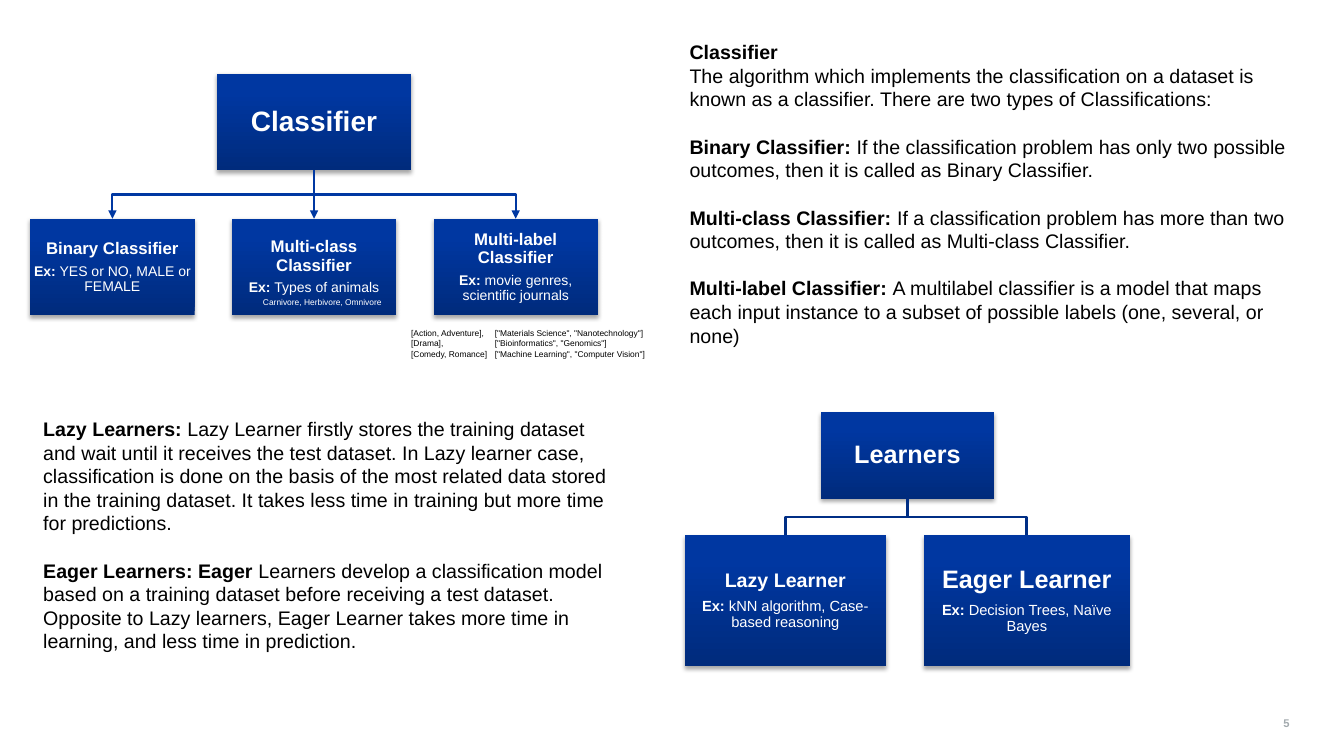
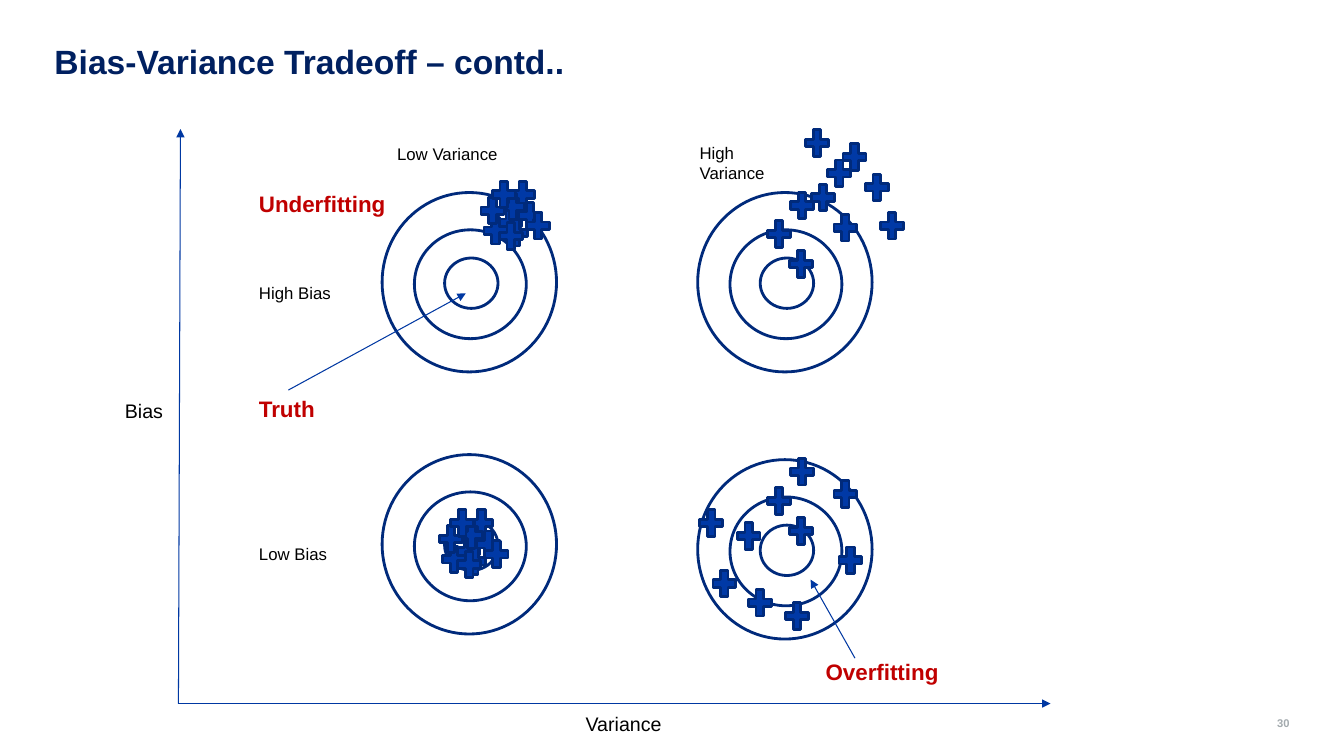
"""Build two slides on classifiers, learners and the bias-variance tradeoff."""
from dataclasses import dataclass

from pptx import Presentation
from pptx.dml.color import RGBColor
from pptx.enum.shapes import MSO_CONNECTOR, MSO_SHAPE
from pptx.enum.text import MSO_ANCHOR, PP_ALIGN
from pptx.oxml import parse_xml
from pptx.oxml.ns import nsdecls, qn
from pptx.util import Inches, Pt

RECTANGLE, OVAL, PLUS = MSO_SHAPE.RECTANGLE, MSO_SHAPE.OVAL, MSO_SHAPE.MATH_PLUS
STRAIGHT, ELBOW = MSO_CONNECTOR.STRAIGHT, MSO_CONNECTOR.ELBOW
TOP, MIDDLE, BOTTOM = MSO_ANCHOR.TOP, MSO_ANCHOR.MIDDLE, MSO_ANCHOR.BOTTOM
LEFT, CENTER, RIGHT = PP_ALIGN.LEFT, PP_ALIGN.CENTER, PP_ALIGN.RIGHT
TOP_SITE, BOTTOM_SITE = 0, 2


@dataclass(frozen=True)
class Theme:
    """Colours, font and type sizes shared by the slides."""

    font: str = "Arial"
    black: str = "000000"
    white: str = "FFFFFF"
    title: str = "002060"
    footer: str = "A3AAAE"
    accent: str = "C00000"
    mark: str = "0039A6"
    outline: str = "002A7B"
    arrow: str = "0038A2"
    branch: str = "002E85"
    box_dark: str = "002B7C"
    box_light: str = "0037A1"
    title_size: float = 24
    root_size: float = 20
    learner_size: float = 18
    callout_size: float = 16
    body_size: float = 14
    label_size: float = 12
    learner_example_size: float = 10.5
    example_size: float = 10
    footer_size: float = 8
    tiny_size: float = 6


THEME = Theme()

DEFINITIONS = [
    ("Classifier", ""),
    ("", "The algorithm which implements the classification on a dataset is known as "
         "a classifier. There are two types of Classifications:"),
    ("Binary Classifier:", " If the classification problem has only two possible "
                           "outcomes, then it is called as Binary Classifier."),
    ("Multi-class Classifier:", " If a classification problem has more than two "
                                "outcomes, then it is called as Multi-class Classifier."),
    ("Multi-label Classifier: ", "A multilabel classifier is a model that maps each input "
                                 "instance to a subset of possible labels (one, several, "
                                 "or none)"),
]
LEARNER_NOTES = [
    ("Lazy Learners:", " Lazy Learner firstly stores the training dataset and wait until "
                       "it receives the test dataset. In Lazy learner case, "
                       "classification is done on the basis of the most related data "
                       "stored in the training dataset. It takes less time in training "
                       "but more time for predictions."),
    ("Eager Learners: Eager", " Learners develop a classification model based on a "
                              "training dataset before receiving a test dataset. Opposite "
                              "to Lazy learners, Eager Learner takes more time in "
                              "learning, and less time in prediction."),
]
CLASSIFIERS = [
    ("Binary Classifier", "YES or NO, MALE or FEMALE"),
    ("Multi-class Classifier", "Types of animals"),
    ("Multi-label Classifier", "movie genres, scientific journals"),
]
GENRES = ["[Action, Adventure],", "[Drama],", "[Comedy, Romance]"]
JOURNALS = ['["Materials Science", "Nanotechnology"]', '["Bioinformatics", "Genomics"]',
            '["Machine Learning", "Computer Vision"]']

RINGS = [(0.32, 0.37, 1.11, 1.08), (0.62, 0.65, 0.53, 0.5), (0, 0, 1.73, 1.78)]
TARGETS = [(3.79, 1.91), (6.92, 1.91), (3.79, 4.51), (6.92, 4.56)]
CLUSTER = [(0.3, 0), (0.17, 0.28), (0.37, 0.21), (0.45, 0.31), (0.23, 0.38),
           (0.03, 0.36), (0.2, 0.12), (0, 0.16), (0.11, 0), (0.18, 0.41)]
CLUSTER_ORIGINS = [(4.73, 1.75), (4.32, 5.01)]
SCATTERED_MARKS = [
    (7.79, 2.44), (7.57, 2.14), (8.23, 2.08), (8.01, 1.78), (7.8, 1.86),
    (8.69, 2.06), (8.17, 1.54), (7.95, 1.24), (8.54, 1.68), (8.32, 1.38),
    (7.79, 5.09), (7.57, 4.79), (8.23, 4.72), (7.03, 5.61), (7.8, 4.5),
    (8.28, 5.38), (7.38, 5.8), (6.9, 5.01), (7.75, 5.93), (7.27, 5.14),
]


def rgb(value):
    """Turn a hex string into a colour."""
    return RGBColor.from_string(value)


def write_span(para, text, *, size, color=THEME.black, bold=False):
    """Append a formatted run to a paragraph."""
    span = para.add_run()
    span.text = text
    span.font.name = THEME.font
    span.font.size = Pt(size)
    span.font.bold = bold
    span.font.color.rgb = rgb(color)


def next_para(frame, index):
    """Return the first paragraph of a frame or add another."""
    return frame.add_paragraph() if index else frame.paragraphs[0]


def set_margins(frame, inset):
    """Give all four sides of a text frame the same inset."""
    frame.margin_left = frame.margin_right = Inches(inset)
    frame.margin_top = frame.margin_bottom = Inches(inset)


def add_text(page, area, lines, *, align=LEFT, anchor=TOP, inset=None, wrap=True,
             spacing=None, **style):
    """Add a text box with one paragraph per line."""
    frame = page.shapes.add_textbox(*map(Inches, area)).text_frame
    frame.word_wrap = wrap
    frame.vertical_anchor = anchor
    if inset is not None:
        set_margins(frame, inset)
    for index, line in enumerate(lines):
        para = next_para(frame, index)
        para.alignment = align
        para.line_spacing = spacing
        write_span(para, line, **style)


def add_notes(page, area, notes, *, spaced_from):
    """Add body text with bold lead-ins and gaps from the given paragraph on."""
    frame = page.shapes.add_textbox(*map(Inches, area)).text_frame
    frame.word_wrap = True
    for index, (lead, body) in enumerate(notes):
        para = next_para(frame, index)
        if index >= spaced_from:
            para.space_before = Pt(17)
        for text, bold in ((lead, True), (body, False)):
            if text:
                write_span(para, text, size=THEME.body_size, bold=bold)


def add_title(page, text):
    """Add the slide title."""
    add_text(page, (0.54, 0.45, 12, 0.36), [text], anchor=BOTTOM, inset=0, spacing=0.9,
             size=THEME.title_size, color=THEME.title, bold=True)


def add_page_number(page, number):
    """Add the page number in the footer."""
    add_text(page, (11.09, 7.12, 1.7, 0.1), [number], align=RIGHT, anchor=MIDDLE, inset=0,
             size=THEME.footer_size, color=THEME.footer, bold=True)


def add_box(page, area, heading, *, size, example="", example_size=THEME.example_size):
    """Add a shaded diagram box with a heading and an optional example."""
    box = page.shapes.add_shape(RECTANGLE, *map(Inches, area))
    box.line.fill.background()
    box.fill.gradient()
    box.fill.gradient_angle = 90
    stops = ((0, THEME.box_dark), (0.8, THEME.box_light))
    for stop, (position, color) in zip(box.fill.gradient_stops, stops):
        stop.position = position
        stop.color.rgb = rgb(color)
    box.shadow.inherit = False
    box.element.spPr.find(qn("a:effectLst")).append(parse_xml(
        f'<a:outerShdw {nsdecls("a")} blurRad="40000" dist="23000" dir="5400000" '
        'rotWithShape="0"><a:srgbClr val="000000"><a:alpha val="35000"/></a:srgbClr>'
        '</a:outerShdw>'))
    frame = box.text_frame
    frame.word_wrap = True
    frame.vertical_anchor = MIDDLE
    set_margins(frame, 0.01)
    rows = [(size, [(heading, True)])]
    if example:
        rows.append((example_size, [("Ex: ", True), (example, False)]))
    for index, (row_size, spans) in enumerate(rows):
        para = next_para(frame, index)
        para.alignment = CENTER
        para.line_spacing = 0.9
        para.space_after = Pt(round(0.35 * row_size, 1))
        for text, bold in spans:
            write_span(para, text, size=row_size, color=THEME.white, bold=bold)
    return box


def style_connector(connector, *, color, width, arrow=True):
    """Format a connector and remove its shadow."""
    connector.line.color.rgb = rgb(color)
    connector.line.width = Pt(width)
    properties = connector.element.spPr
    if arrow:
        properties.find(qn("a:ln")).append(
            parse_xml(f'<a:tailEnd {nsdecls("a")} type="triangle"/>'))
    properties.append(parse_xml(f'<a:effectLst {nsdecls("a")}/>'))


def add_arrow(page, start, end):
    """Add a thin straight arrow between two points."""
    connector = page.shapes.add_connector(STRAIGHT, *map(Inches, start + end))
    style_connector(connector, color=THEME.arrow, width=0.75)


def join_boxes(page, parent, child, **style):
    """Join a parent's bottom to a child's top, bending halfway down."""
    start_x, start_y = parent.left + parent.width // 2, parent.top + parent.height
    end_x, end_y = child.left + child.width // 2, child.top
    shift, drop = end_x - start_x, end_y - start_y
    bent = abs(shift) > Inches(0.01)
    connector = page.shapes.add_connector(ELBOW if bent else STRAIGHT,
                                          start_x, start_y, end_x, end_y)
    connector.begin_connect(parent, BOTTOM_SITE)
    connector.end_connect(child, TOP_SITE)
    if bent:
        connector.left = (start_x + end_x - drop) // 2
        connector.top = (start_y + end_y - abs(shift)) // 2
        connector.width, connector.height = drop, abs(shift)
        transform = connector.element.spPr.find(qn("a:xfrm"))
        transform.set("rot", "16200000" if shift > 0 else "5400000")
        transform.set("flipH", "1" if shift > 0 else "0")
    style_connector(connector, **style)


def add_symbol(page, kind, area, *, fill=None):
    """Add an outlined ring or mark."""
    symbol = page.shapes.add_shape(kind, *map(Inches, area))
    symbol.shadow.inherit = False
    symbol.line.color.rgb = rgb(THEME.outline)
    symbol.line.width = Pt(2)
    if fill:
        symbol.fill.solid()
        symbol.fill.fore_color.rgb = rgb(fill)
    else:
        symbol.fill.background()


def build_classifier_page(page):
    """Draw the classifier and learner trees with their notes."""
    add_page_number(page, "5")
    root = add_box(page, (2.15, 0.73, 1.93, 0.96), "Classifier", size=THEME.root_size)
    for column, (heading, example) in enumerate(CLASSIFIERS):
        child = add_box(page, (0.3 + 2 * column, 2.17, 1.63, 0.96), heading,
                        size=THEME.label_size, example=example)
        join_boxes(page, root, child, color=THEME.arrow, width=1.5)

    learners = add_box(page, (8.14, 4.09, 1.72, 0.86), "Learners", size=THEME.learner_size)
    for area, heading, size, example in (
            ((6.79, 5.31, 2, 1.3), "Lazy Learner", THEME.body_size,
             "kNN algorithm, Case-based reasoning"),
            ((9.16, 5.31, 2.05, 1.3), "Eager Learner", THEME.learner_size,
             "Decision Trees, Naïve Bayes")):
        child = add_box(page, area, heading, size=size, example=example,
                        example_size=THEME.learner_example_size)
        join_boxes(page, learners, child, color=THEME.branch, width=2, arrow=False)

    add_notes(page, (6.74, 0.35, 6.28, 3.16), DEFINITIONS, spaced_from=2)
    add_notes(page, (0.33, 4.09, 5.81, 2.46), LEARNER_NOTES, spaced_from=1)
    add_text(page, (2.51, 2.9, 1.42, 0.2), ["Carnivore, Herbivore, Omnivore"],
             size=THEME.tiny_size, color=THEME.white)
    add_text(page, (3.98, 3.21, 1.17, 0.4), GENRES, size=THEME.tiny_size)
    add_text(page, (4.81, 3.21, 1.79, 0.4), JOURNALS, size=THEME.tiny_size)


def build_tradeoff_page(page):
    """Draw four targets on bias and variance axes."""
    add_title(page, "Bias-Variance Tradeoff – contd..")
    add_page_number(page, "30")
    for left, top in TARGETS:
        for across, down, width, height in RINGS:
            add_symbol(page, OVAL, (left + across, top + down, width, height))
    clustered = [(left + across, top + down)
                 for left, top in CLUSTER_ORIGINS for across, down in CLUSTER]
    for point in SCATTERED_MARKS + clustered:
        add_symbol(page, PLUS, point + (0.31, 0.36), fill=THEME.mark)

    for text, left, top, height in (
            ("Low Variance", 3.84, 1.38, 0.3), ("High Variance", 6.84, 1.37, 0.5),
            ("High Bias", 2.47, 2.76, 0.3), ("Low Bias", 2.47, 5.35, 0.3)):
        add_text(page, (left, top, 1.21, height), [text], size=THEME.label_size)
    for text, left, top in (("Truth", 2.47, 3.87), ("Underfitting", 2.47, 1.84),
                            ("Overfitting", 8.09, 6.48)):
        add_text(page, (left, top, 1.53, 0.37), [text], size=THEME.callout_size,
                 color=THEME.accent, bold=True)
    for text, area in (("Bias", (1.14, 3.91, 0.58, 0.34)),
                       ("Variance", (5.71, 7.01, 0.96, 0.34))):
        add_text(page, area, [text], wrap=False, size=THEME.body_size)
    for start, end in (((2.86, 3.87), (4.62, 2.91)), ((8.48, 6.53), (8.04, 5.75)),
                       ((1.77, 6.98), (1.79, 1.28)), ((1.77, 6.98), (10.42, 6.98))):
        add_arrow(page, start, end)


def main():
    """Build and save the deck."""
    deck = Presentation()
    deck.slide_width, deck.slide_height = Inches(13.33), Inches(7.5)
    for build in (build_classifier_page, build_tradeoff_page):
        build(deck.slides.add_slide(deck.slide_layouts[6]))
    deck.save("out.pptx")


if __name__ == "__main__":
    main()
